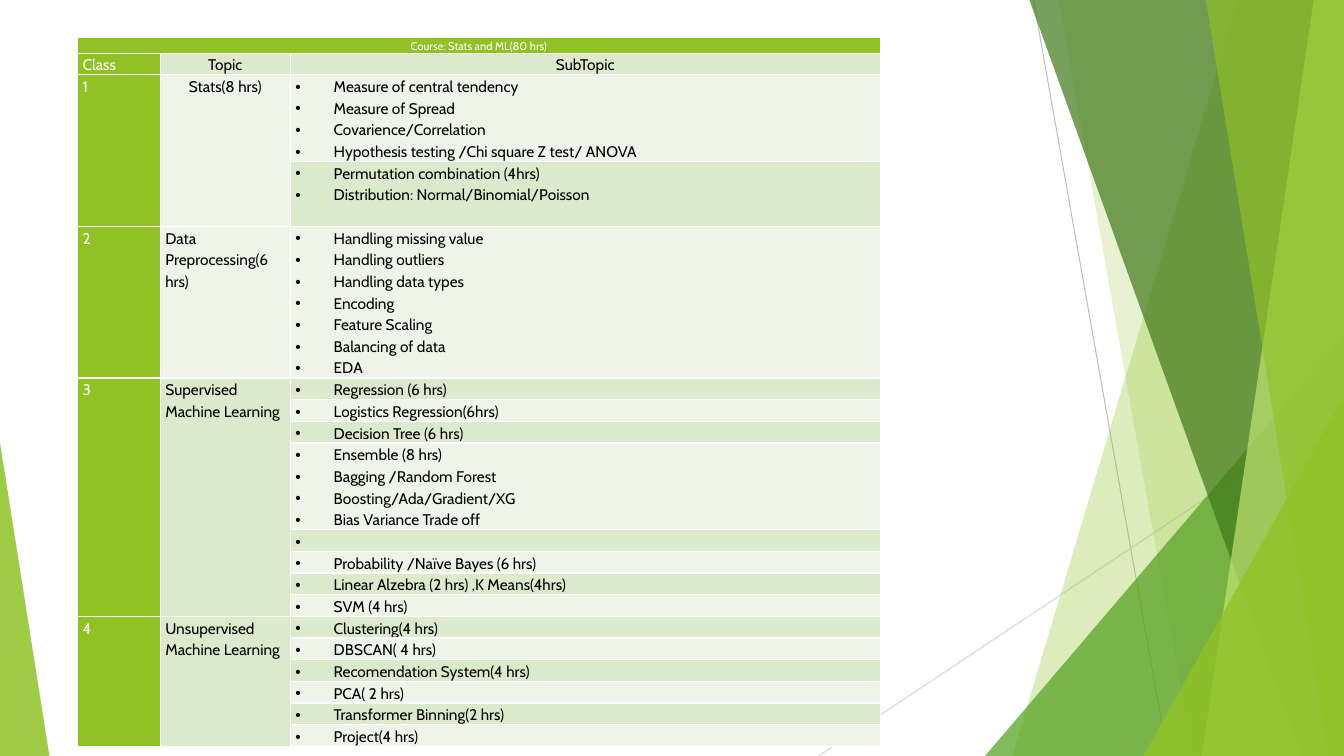
from dataclasses import dataclass
from lxml import etree
from pptx import Presentation
from pptx import util as u
from pptx.dml.color import RGBColor
from pptx.enum import shapes, text
from pptx.oxml.ns import qn


@dataclass(frozen=True)
class Theme:
    font: str = "Cabin"
    small: float = 8
    body: float = 11
    lead: float = 1.15
    lime: str = "90C226"
    leaf: str = "54A021"
    pine: str = "3F7819"
    mint: str = "C0E474"
    band: tuple = ("EEF4E8", "DBE9CD")
    white: str = "FFFFFF"
    black: str = "000000"


T = Theme()
LEFT, MID, JUST = text.PP_ALIGN.LEFT, text.PP_ALIGN.CENTER, text.PP_ALIGN.JUSTIFY
WIDE, HIGH = 13.33, 7.5

TITLE = "Course: Stats and ML(80 hrs)"
HEADS = ("Class", "Topic", "SubTopic")
COURSE = [
    ("1", ["Stats(8 hrs)"], MID, JUST, [
        ["Measure of central tendency", "Measure of Spread",
         "Covarience/Correlation",
         "Hypothesis testing /Chi square Z test/ ANOVA"],
        ["Permutation combination (4hrs)",
         "Distribution: Normal/Binomial/Poisson"]]),
    ("2", ["Data Preprocessing(6 hrs)"], LEFT, JUST, [
        ["Handling missing value", "Handling outliers",
         "Handling data types", "Encoding", "Feature Scaling",
         "Balancing of data", "EDA"]]),
    ("3", ["Supervised", "Machine Learning"], LEFT, LEFT, [
        ["Regression (6 hrs)"],
        ["Logistics Regression(6hrs)"],
        ["Decision Tree (6 hrs)"],
        ["Ensemble (8 hrs)", "Bagging /Random Forest",
         "Boosting/Ada/Gradient/XG", "Bias Variance Trade off"],
        [" "],
        ["Probability /Naïve Bayes (6 hrs)"],
        ["Linear Alzebra (2 hrs) ,K Means(4hrs)"],
        ["SVM (4 hrs)"]]),
    ("4", ["Unsupervised", "Machine Learning"], LEFT, LEFT, [
        ["Clustering(4 hrs)"],
        ["DBSCAN( 4 hrs)"],
        ["Recomendation System(4 hrs)"],
        ["PCA( 2 hrs)"],
        ["Transformer Binning(2 hrs)"],
        ["Project(4 hrs)"]]),
]
COLS = (0.82, 1.29, 5.85)
TOP, SIDE = 0.37, 0.77
HEAD, LINE = 0.15, 15.47 / 72
SPARE = {3: 1}

RAYS = [((10.25, 0), (11.58, HIGH), "BFBFBF"),
        ((WIDE, 4.03), (8.12, HIGH), "D9D9D9")]
FACETS = [
    ("slab", 12.28, 10.04, T.lime, 30),
    ("slab", 10.5, 11.83, T.lime, 20),
    ("wedge", 9.77, 3.56, 4.17, 1, T.leaf, 72),
    ("slab", 10.21, 12.91, T.pine, 70),
    ("slab", 13.03, 11.92, T.mint, 70),
    ("slab", 11.96, 13.18, T.lime, 65),
    ("wedge", 11.34, 1.99, 3.57, 1, T.lime, 80),
    ("wedge", 0, 0.49, 3.11, 0, T.lime, 85),
]


def rgb(hue):
    return RGBColor.from_string(hue)


def paint(shape, hue, alpha):
    shape.shadow.inherit = False
    shape.line.fill.background()
    shape.fill.solid()
    shape.fill.fore_color.rgb = rgb(hue)
    tint = shape._element.spPr.find(qn("a:solidFill"))[0]
    etree.SubElement(tint, qn("a:alpha"), val=str(alpha * 1000))


def slab(slide, top, base, hue, alpha):
    points = [(top, 0), (WIDE, 0), (WIDE, HIGH), (base, HIGH)]
    points = [(u.Inches(x), u.Inches(y)) for x, y in points]
    form = slide.shapes.build_freeform(*points[0])
    form.add_line_segments(points[1:], close=True)
    paint(form.convert_to_shape(), hue, alpha)


def wedge(slide, x, width, height, peak, hue, alpha):
    shape = slide.shapes.add_shape(
        shapes.MSO_SHAPE.ISOSCELES_TRIANGLE, u.Inches(x),
        u.Inches(HIGH - height), u.Inches(width), u.Inches(height))
    shape.adjustments[0] = peak
    paint(shape, hue, alpha)


def ray(slide, start, end, hue):
    line = slide.shapes.add_connector(
        shapes.MSO_CONNECTOR.STRAIGHT,
        *(u.Inches(v) for v in start + end))
    line.line.color.rgb = rgb(hue)
    line.line.width = u.Pt(0.75)
    etree.SubElement(line._element.spPr, qn("a:effectLst"))


def write(cell, lines, hue, fill, align=LEFT, size=T.body, dots=False):
    cell.margin_left = cell.margin_right = u.Inches(0.05)
    cell.margin_top = cell.margin_bottom = 0
    cell.fill.solid()
    cell.fill.fore_color.rgb = rgb(fill)
    for i, line in enumerate(lines):
        para = cell.text_frame.paragraphs[0] if i == 0 else cell.text_frame.add_paragraph()
        para.text = line
        para.alignment = align
        para.line_spacing = T.lead
        if dots:
            props = para._p.get_or_add_pPr()
            props.set("marL", str(u.Inches(0.38)))
            props.set("indent", str(-u.Inches(0.38)))
            etree.SubElement(props, qn("a:buFont"), typeface="Arial")
            etree.SubElement(props, qn("a:buChar"), char="•")
        font = para.font
        font.name, font.size, font.bold = T.font, u.Pt(size), False
        font.color.rgb = rgb(hue)


def table(slide):
    count = 2 + sum(len(part[-1]) for part in COURSE)
    grid = slide.shapes.add_table(
        count, len(COLS), u.Inches(SIDE), u.Inches(TOP),
        u.Inches(sum(COLS)), u.Inches(HEAD + LINE * count)).table
    grid.horz_banding = False
    for col, width in zip(grid.columns, COLS):
        col.width = u.Inches(width)

    grid.cell(0, 0).merge(grid.cell(0, 2))
    write(grid.cell(0, 0), [TITLE], T.white, T.lime, MID, T.small)
    grid.rows[0].height = u.Inches(HEAD)
    grid.rows[1].height = u.Inches(LINE)
    for c, head in enumerate(HEADS):
        hue, fill, align = (T.black, T.band[1], MID) if c else (T.white, T.lime, LEFT)
        write(grid.cell(1, c), [head], hue, fill, align)

    row = 2
    for number, topic, align, flow, groups in COURSE:
        last = row + len(groups) - 1
        if last > row:
            for c in (0, 1):
                grid.cell(row, c).merge(grid.cell(last, c))
        write(grid.cell(row, 0), [number], T.white, T.lime)
        write(grid.cell(row, 1), topic, T.black, T.band[row % 2], align)
        for r, items in enumerate(groups, row):
            write(grid.cell(r, 2), items, T.black, T.band[r % 2], flow, dots=True)
            grid.rows[r].height = u.Inches(LINE * (len(items) + SPARE.get(r, 0)))
        row = last + 1


def main():
    deck = Presentation()
    deck.slide_width, deck.slide_height = u.Inches(WIDE), u.Inches(HIGH)
    slide = deck.slides.add_slide(deck.slide_layouts[6])
    for item in RAYS:
        ray(slide, *item)
    draw = {"slab": slab, "wedge": wedge}
    for kind, *rest in FACETS:
        draw[kind](slide, *rest)
    table(slide)
    deck.save("out.pptx")


if __name__ == "__main__":
    main()
